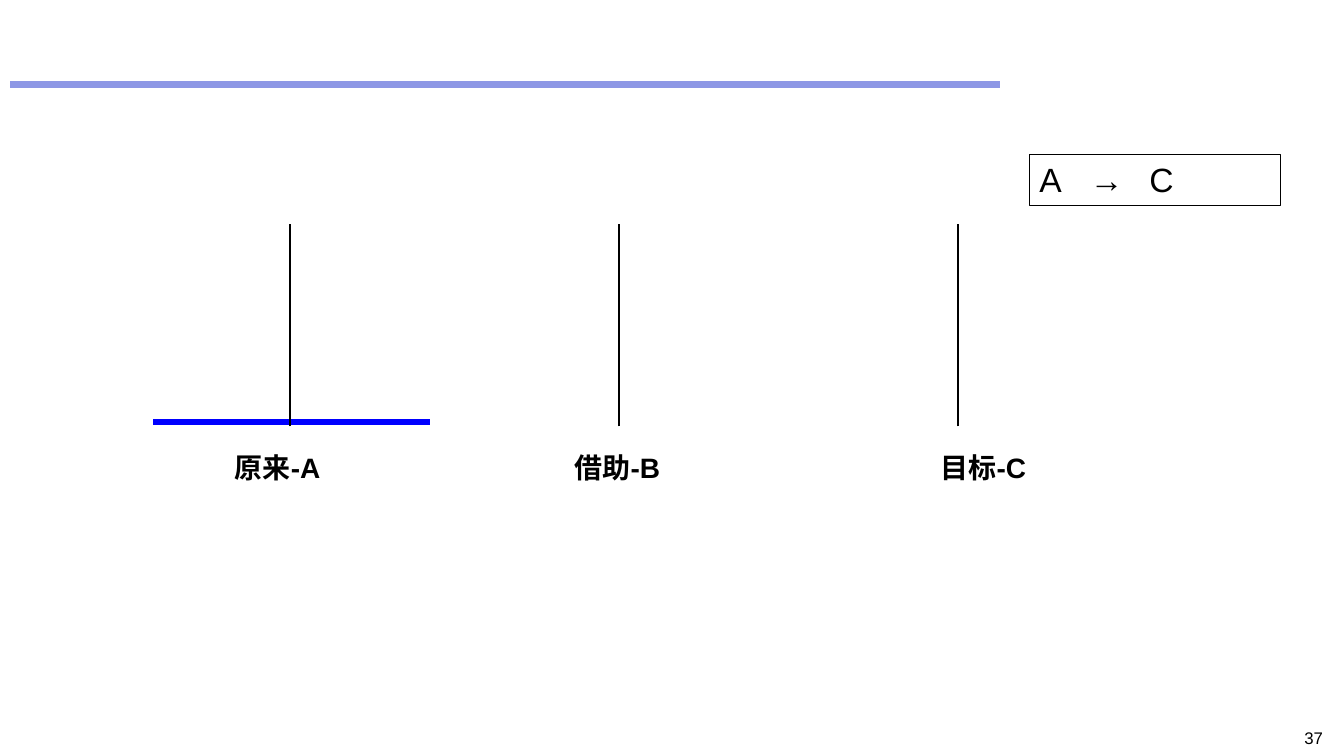
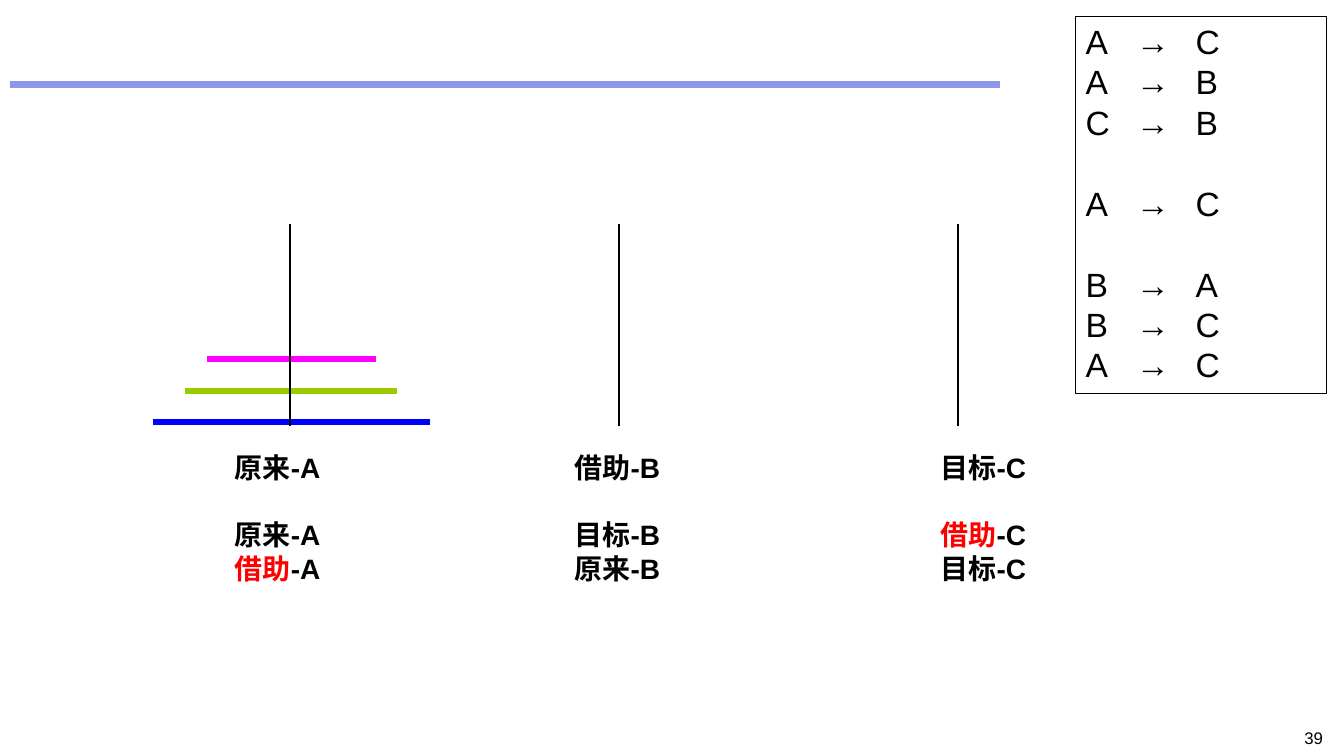
from lxml.etree import SubElement
from pptx import Presentation
from pptx.dml.color import RGBColor
from pptx.enum.shapes import MSO_CONNECTOR, MSO_SHAPE
from pptx.enum.text import MSO_ANCHOR, PP_ALIGN
from pptx.oxml.ns import qn
from pptx.util import Inches, Pt

BLACK = RGBColor(0x00, 0x00, 0x00)
RED = RGBColor(0xFF, 0x00, 0x00)
LAVENDER = RGBColor(0x8D, 0x97, 0xE5)
BLUE = RGBColor(0x00, 0x00, 0xFF)
GREEN = RGBColor(0x99, 0xCC, 0x00)
MAGENTA = RGBColor(0xFF, 0x00, 0xFF)

# Each disk: left end, right end, height on the page, colour
LARGE_DISK = (1.52, 4.27, 4.19, BLUE)
MIDDLE_DISK = (1.84, 3.94, 3.88, GREEN)
SMALL_DISK = (2.05, 3.73, 3.56, MAGENTA)
ROD_POSITIONS = (2.88, 6.14, 9.5)
ROD_NAMES = "ABC"
ROLES = ("原来", "借助", "目标")


class HanoiDeck:
    font_name = "Arial"

    def __init__(self):
        self.deck = Presentation()
        self.deck.slide_width = Inches(13.33)
        self.deck.slide_height = Inches(7.5)
        self.page = None

    def add_page(self, number):
        self.page = self.deck.slides.add_slide(self.deck.slide_layouts[6])
        self.add_line(0.1, 0.84, 9.92, 0.84, LAVENDER, 4.5)
        box = self.add_text_box(11.91, 7.17, 1.31, 0.25)
        paragraph = box.text_frame.paragraphs[0]
        paragraph.alignment = PP_ALIGN.RIGHT
        self.add_span(paragraph, str(number), 12)

    def add_line(self, left, top, right, bottom, color, width):
        line = self.page.shapes.add_connector(
            MSO_CONNECTOR.STRAIGHT,
            Inches(left), Inches(top), Inches(right), Inches(bottom))
        line.line.color.rgb = color
        line.line.width = Pt(width)
        SubElement(line._element.spPr, qn("a:effectLst"))

    def add_text_box(self, left, top, width, height):
        box = self.page.shapes.add_textbox(
            Inches(left), Inches(top), Inches(width), Inches(height))
        box.text_frame.word_wrap = True
        return box

    def add_span(self, paragraph, text, size, color=BLACK, bold=False):
        span = paragraph.add_run()
        span.text = text
        span.font.name = self.font_name
        span.font.size = Pt(size)
        span.font.color.rgb = color
        span.font.bold = bold

    def add_row(self, frame, index, tab_stops, gap=0):
        """Return the paragraph at index, with tab stops in inches and a gap above in points."""
        paragraph = frame.add_paragraph() if index else frame.paragraphs[0]
        paragraph.alignment = PP_ALIGN.LEFT
        tabs = SubElement(paragraph._p.get_or_add_pPr(), qn("a:tabLst"))
        for stop in tab_stops:
            SubElement(tabs, qn("a:tab"), pos=str(Inches(stop)), algn="l")
        if gap:
            paragraph.space_before = Pt(gap)
        return paragraph

    def add_tower(self, disks):
        for left, right, height, color in disks:
            self.add_line(left, height, right, height, color, 4.5)
        for position in ROD_POSITIONS:
            self.add_line(position, 4.23, position, 2.22, BLACK, 1.5)

    def add_roles(self, height, rows):
        """Label the rods; each row gives its roles, the red role and the gap above."""
        box = self.add_text_box(2.23, 4.42, 8.13, height)
        for index, (roles, red_role, gap) in enumerate(rows):
            paragraph = self.add_row(box.text_frame, index, (3.37, 7.0), gap)
            for rod, role in zip(ROD_NAMES, roles):
                color = RED if role == red_role else BLACK
                ending = "" if rod == ROD_NAMES[-1] else "\t"
                self.add_span(paragraph, role, 20, color, bold=True)
                self.add_span(paragraph, f"-{rod}{ending}", 20, bold=True)

    def add_moves(self, left, top, height, groups):
        """List moves such as "AC", with a gap between the groups."""
        box = self.page.shapes.add_shape(
            MSO_SHAPE.RECTANGLE,
            Inches(left), Inches(top), Inches(2.49), Inches(height))
        box.shadow.inherit = False
        box.fill.background()
        box.line.color.rgb = BLACK
        box.line.width = Pt(0.75)
        frame = box.text_frame
        frame.word_wrap = True
        frame.vertical_anchor = MSO_ANCHOR.TOP
        index = 0
        for group in groups:
            for place, (source, target) in enumerate(group):
                gap = 29 if index and place == 0 else 0
                paragraph = self.add_row(frame, index, (0.5, 1.09), gap)
                self.add_span(paragraph, f"{source}\t→\t{target}", 24)
                index += 1


def main():
    hanoi = HanoiDeck()

    hanoi.add_page(37)
    hanoi.add_tower([LARGE_DISK])
    hanoi.add_roles(0.44, [(ROLES, None, 0)])
    hanoi.add_moves(10.21, 1.53, 0.51, [["AC"]])

    hanoi.add_page(39)
    hanoi.add_tower([SMALL_DISK, MIDDLE_DISK, LARGE_DISK])
    hanoi.add_roles(1.45, [
        (ROLES, None, 0),
        (("原来", "目标", "借助"), "借助", 24),
        (("借助", "原来", "目标"), "借助", 0),
    ])
    hanoi.add_moves(10.67, 0.16, 3.74,
                    [["AC", "AB", "CB"], ["AC"], ["BA", "BC", "AC"]])

    hanoi.deck.save("out.pptx")


if __name__ == "__main__":
    main()
